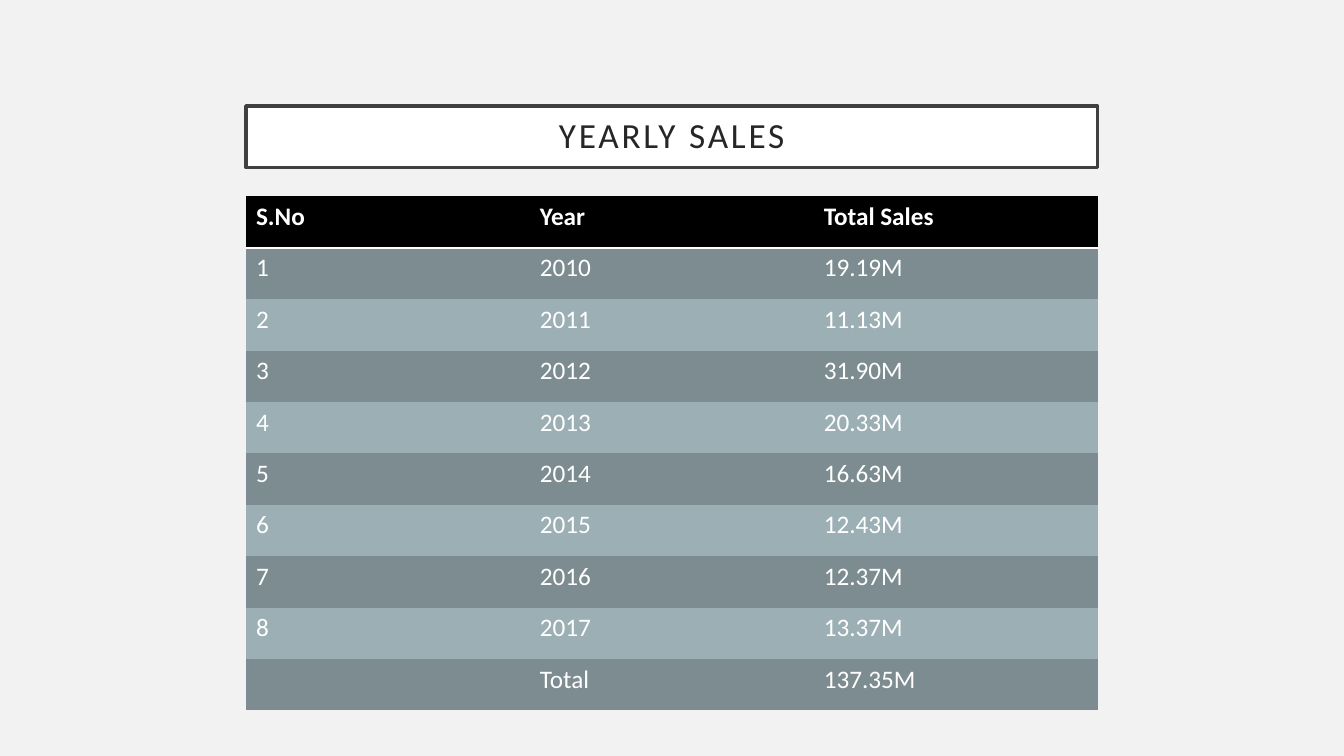
from lxml import etree
from pptx import Presentation
from pptx.dml.color import RGBColor
from pptx.enum.shapes import MSO_SHAPE
from pptx.enum.text import MSO_ANCHOR, PP_ALIGN
from pptx.oxml.ns import qn
from pptx.util import Cm, Pt

RECTANGLE = MSO_SHAPE.RECTANGLE
MIDDLE = MSO_ANCHOR.MIDDLE
CENTER = PP_ALIGN.CENTER

TITLE = "YEARLY SALES"
SALES = [
    ("S.No", "Year", "Total Sales"),
    ("1", "2010", "19.19M"),
    ("2", "2011", "11.13M"),
    ("3", "2012", "31.90M"),
    ("4", "2013", "20.33M"),
    ("5", "2014", "16.63M"),
    ("6", "2015", "12.43M"),
    ("7", "2016", "12.37M"),
    ("8", "2017", "13.37M"),
    ("", "Total", "137.35M"),
]
FONT = "Calibri"
COLORS = {
    "background": "F2F2F2",
    "white": "FFFFFF",
    "frame": "404040",
    "title": "262626",
    "header": "000000",
    "odd": "7C8C91",
    "even": "9BAFB5",
}
LEFT, WIDTH = Cm(6.2), Cm(21.46)
TITLE_TOP, TITLE_HEIGHT = Cm(2.67), Cm(1.55)
TABLE_TOP, TABLE_HEIGHT = Cm(4.95), Cm(12.95)
PADDING = Cm(0.5)


def rgb(name):
    return RGBColor.from_string(COLORS[name])


def style_font(font, size, color, bold=False):
    font.name, font.size, font.bold = FONT, Pt(size), bold
    font.color.rgb = rgb(color)


def add_title(slide):
    s = slide.shapes.add_shape(RECTANGLE, LEFT, TITLE_TOP, WIDTH, TITLE_HEIGHT)
    s.shadow.inherit = False
    s.fill.solid()
    s.fill.fore_color.rgb = rgb("white")
    s.line.color.rgb = rgb("frame")
    s.line.width = Pt(2.5)
    tf = s.text_frame
    tf.word_wrap = True
    tf.vertical_anchor = MIDDLE
    tf.margin_left = tf.margin_right = PADDING
    tf.margin_top = tf.margin_bottom = PADDING
    tf.text = TITLE
    p = tf.paragraphs[0]
    p.alignment, p.line_spacing = CENTER, 0.9
    r = p.runs[0]
    style_font(r.font, 25.2, "title")
    r.font._element.set("spc", "200")


def set_borders(cell, white_sides):
    """Draw the named sides (of L, R, T, B) in white and hide the others."""
    tc_pr = cell._tc.get_or_add_tcPr()
    for side in "LRTB":
        line = etree.SubElement(tc_pr, qn(f"a:ln{side}"))
        if side in white_sides:
            line.set("w", str(Pt(2)))
            fill = etree.SubElement(line, qn("a:solidFill"))
            etree.SubElement(fill, qn("a:srgbClr"), val=COLORS["white"])
        else:
            etree.SubElement(line, qn("a:noFill"))


def add_sales_table(slide):
    table = slide.shapes.add_table(
        len(SALES), len(SALES[0]), LEFT, TABLE_TOP, WIDTH, TABLE_HEIGHT
    ).table
    for i, row in enumerate(SALES):
        band = "header" if i == 0 else "odd" if i % 2 else "even"
        white_sides = {0: "B", 1: "T"}.get(i, "")
        for j, text in enumerate(row):
            cell = table.cell(i, j)
            set_borders(cell, white_sides)
            cell.fill.solid()
            cell.fill.fore_color.rgb = rgb(band)
            cell.text_frame.text = text
            for r in cell.text_frame.paragraphs[0].runs:
                style_font(r.font, 18, "white", bold=i == 0)


def main():
    prs = Presentation()
    prs.slide_width, prs.slide_height = Cm(33.87), Cm(19.05)
    slide = prs.slides.add_slide(prs.slide_layouts[6])
    slide.background.fill.solid()
    slide.background.fill.fore_color.rgb = rgb("background")
    add_title(slide)
    add_sales_table(slide)
    prs.save("out.pptx")


if __name__ == "__main__":
    main()
